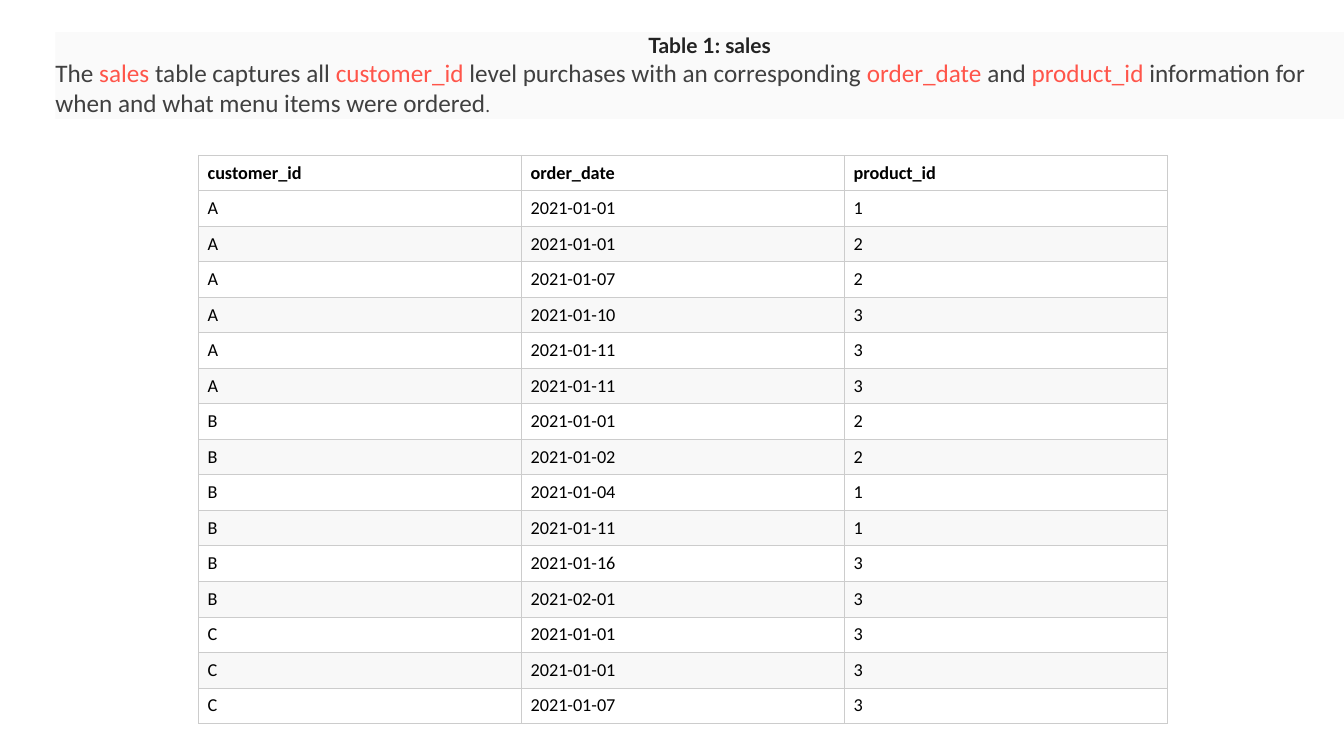
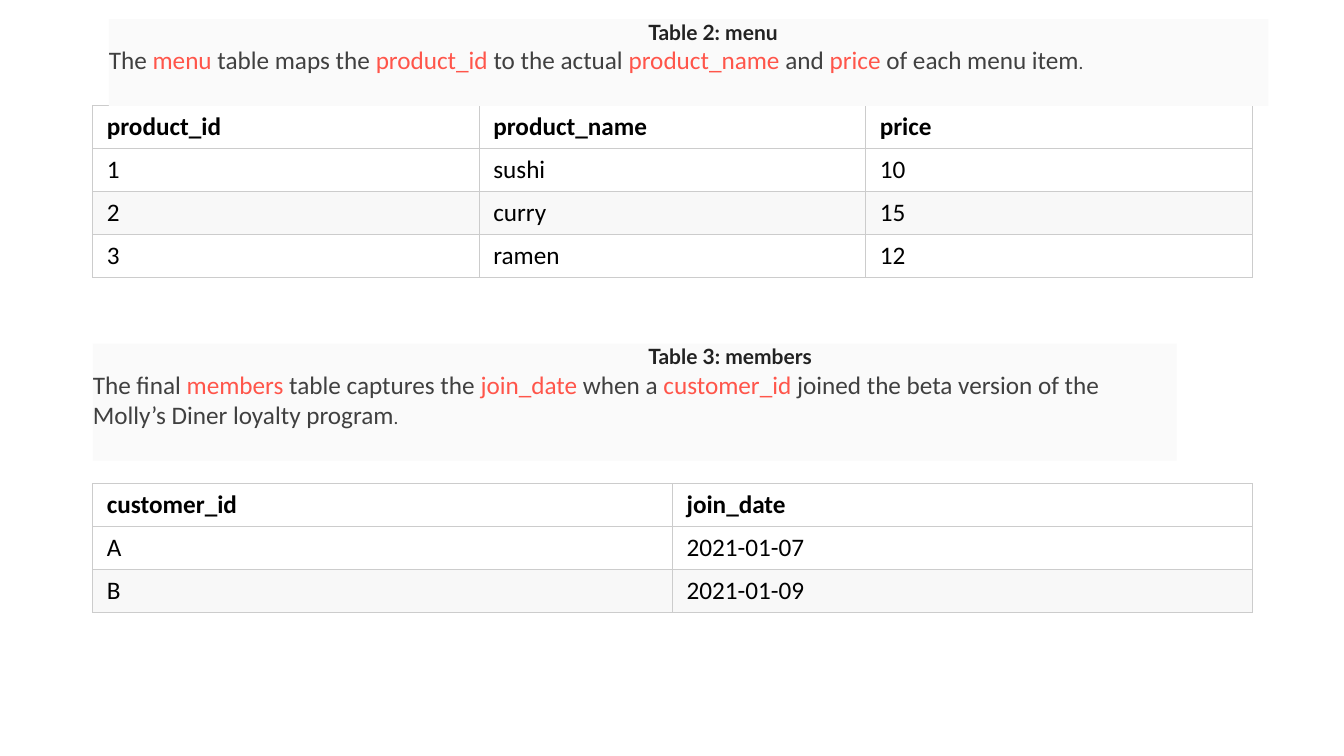
import pptx
import pptx.dml.color
import pptx.enum.shapes
import pptx.enum.text
import pptx.oxml
import pptx.oxml.ns
import pptx.util
from pptx.util import Inches

COLORS = {
    "page": "FFFFFF",
    "panel": "FAFAFA",
    "stripe": "F8F8F8",
    "border": "CCCCCC",
    "heading": "222222",
    "body": "404040",
    "accent": "FF554A",
    "cell": "000000",
}
HEADING_LEFT = 6.43
BORDER_WIDTH = 0.75

SALES = [
    ("customer_id", "order_date", "product_id"),
    ("A", "2021-01-01", "1"),
    ("A", "2021-01-01", "2"),
    ("A", "2021-01-07", "2"),
    ("A", "2021-01-10", "3"),
    ("A", "2021-01-11", "3"),
    ("A", "2021-01-11", "3"),
    ("B", "2021-01-01", "2"),
    ("B", "2021-01-02", "2"),
    ("B", "2021-01-04", "1"),
    ("B", "2021-01-11", "1"),
    ("B", "2021-01-16", "3"),
    ("B", "2021-02-01", "3"),
    ("C", "2021-01-01", "3"),
    ("C", "2021-01-01", "3"),
    ("C", "2021-01-07", "3"),
]
MENU = [
    ("product_id", "product_name", "price"),
    ("1", "sushi", "10"),
    ("2", "curry", "15"),
    ("3", "ramen", "12"),
]
MEMBERS = [
    ("customer_id", "join_date"),
    ("A", "2021-01-07"),
    ("B", "2021-01-09"),
]


def rgb(name):
    """Return the named colour."""
    return pptx.dml.color.RGBColor.from_string(COLORS[name])


def add_text(paragraph, text, size=18, font="Calibri", color="body", bold=False):
    """Append one formatted run to a paragraph."""
    run = paragraph.add_run()
    run.text = text
    run.font.size = pptx.util.Pt(size)
    run.font.name = font
    run.font.bold = bold
    run.font.color.rgb = rgb(color)


def fill_solid(target, color):
    """Fill a shape or a cell with one colour."""
    target.fill.solid()
    target.fill.fore_color.rgb = rgb(color)


def set_borders(cell):
    """Draw a thin line on all four sides of a cell."""
    properties = cell._tc.get_or_add_tcPr()
    width = pptx.util.Pt(BORDER_WIDTH)
    for side in ("lnL", "lnR", "lnT", "lnB"):
        properties.append(pptx.oxml.parse_xml(
            f'<a:{side} {pptx.oxml.ns.nsdecls("a")} w="{width}"><a:solidFill>'
            f'<a:srgbClr val="{COLORS["border"]}"/></a:solidFill></a:{side}>'))


def add_caption(slide, left, top, width, height, heading, description):
    """Add a panel with a heading and a description; words between bars are accented."""
    shape = slide.shapes.add_shape(
        pptx.enum.shapes.MSO_SHAPE.RECTANGLE,
        Inches(left), Inches(top), Inches(width), Inches(height))
    shape.shadow.inherit = False
    shape.line.fill.background()
    fill_solid(shape, "panel")
    frame = shape.text_frame
    frame.word_wrap = True
    frame.vertical_anchor = pptx.enum.text.MSO_ANCHOR.TOP
    frame.margin_left = frame.margin_right = 0
    frame.margin_top = frame.margin_bottom = 0

    title = frame.paragraphs[0]
    title.alignment = pptx.enum.text.PP_ALIGN.LEFT
    title._p.get_or_add_pPr().set("marL", str(Inches(HEADING_LEFT - left)))
    add_text(title, heading, size=15, font="Lato", color="heading", bold=True)

    body = frame.add_paragraph()
    body.alignment = pptx.enum.text.PP_ALIGN.LEFT
    for index, part in enumerate(description.split("|")):
        add_text(body, part, color="accent" if index % 2 else "body")
    add_text(body, ".", size=13, font="Lato")


def add_data_table(slide, left, top, width, height, rows, size, margins):
    """Add a bordered table with a bold header and striped rows."""
    table = slide.shapes.add_table(
        len(rows), len(rows[0]),
        Inches(left), Inches(top), Inches(width), Inches(height)).table
    table.horz_banding = False
    side_margin, edge_margin = margins
    for row_index, values in enumerate(rows):
        striped = row_index > 0 and row_index % 2 == 0
        for column_index, value in enumerate(values):
            cell = table.cell(row_index, column_index)
            set_borders(cell)
            fill_solid(cell, "stripe" if striped else "page")
            cell.vertical_anchor = pptx.enum.text.MSO_ANCHOR.MIDDLE
            cell.margin_left = cell.margin_right = Inches(side_margin)
            cell.margin_top = cell.margin_bottom = Inches(edge_margin)
            add_text(cell.text_frame.paragraphs[0], value,
                     size=size, color="cell", bold=row_index == 0)


def add_slide(presentation):
    """Add a blank slide with the page colour."""
    slide = presentation.slides.add_slide(presentation.slide_layouts[6])
    fill_solid(slide.background, "page")
    return slide


def main():
    """Build both slides and save the presentation."""
    presentation = pptx.Presentation()
    presentation.slide_width = Inches(13.33)
    presentation.slide_height = Inches(7.5)

    sales_slide = add_slide(presentation)
    add_data_table(sales_slide, 1.97, 1.54, 9.61, 5.64, SALES, 13, (0.09, 0.04))
    add_caption(
        sales_slide, 0.55, 0.32, 12.78, 0.86, "Table 1: sales",
        "The |sales| table captures all |customer_id| level purchases with an "
        "corresponding |order_date| and |product_id| information for when and "
        "what menu items were ordered")

    lookup_slide = add_slide(presentation)
    add_data_table(lookup_slide, 0.92, 1.05, 11.5, 1.7, MENU, 18, (0.14, 0.06))
    add_caption(
        lookup_slide, 1.08, 0.19, 11.5, 0.86, "Table 2: menu",
        "The |menu| table maps the |product_id| to the actual |product_name| "
        "and |price| of each menu item")
    add_data_table(lookup_slide, 0.92, 4.8, 11.5, 1.27, MEMBERS, 18, (0.14, 0.06))
    add_caption(
        lookup_slide, 0.92, 3.41, 10.75, 1.16, "Table 3: members",
        "The final |members| table captures the |join_date| when a |customer_id| "
        "joined the beta version of the Molly\u2019s Diner loyalty program")

    presentation.save("out.pptx")


main()
